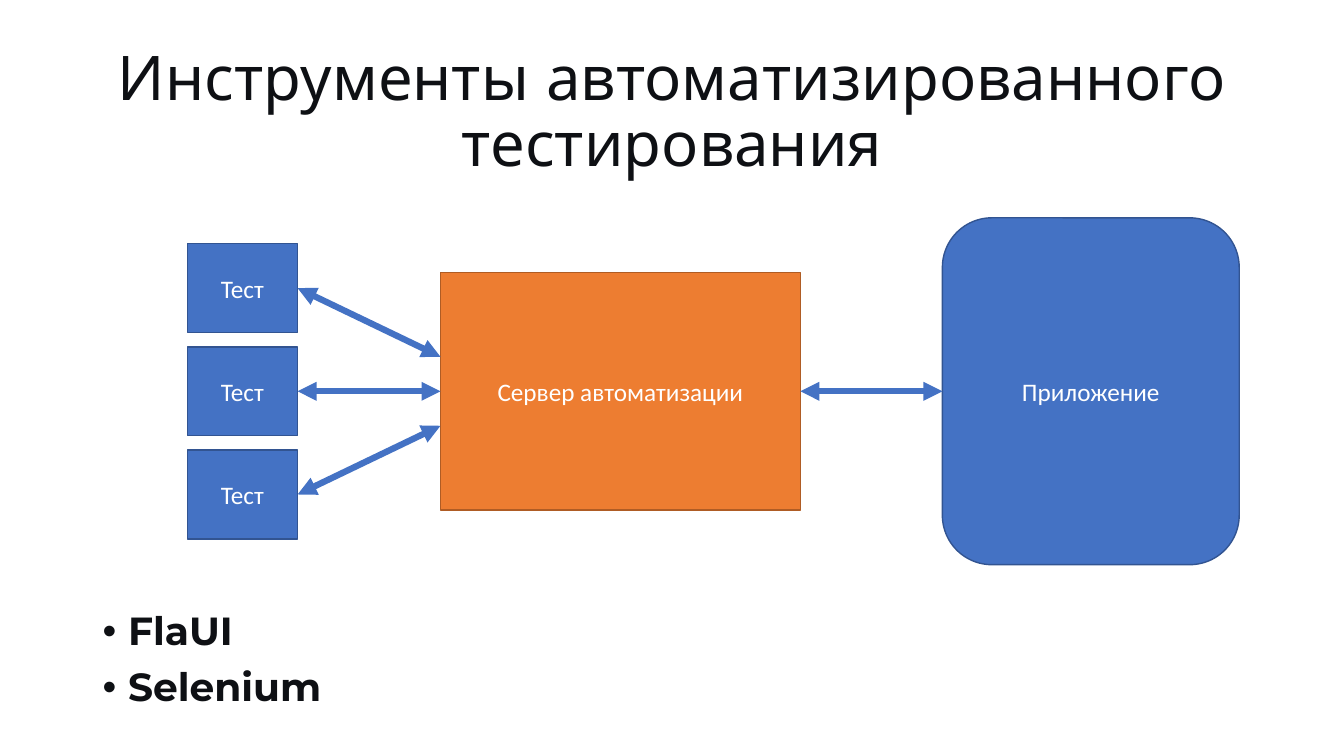
import dataclasses
import typing

import pptx
import pptx.dml.color
import pptx.enum.shapes
import pptx.enum.text
import pptx.oxml
import pptx.oxml.ns
import pptx.presentation
import pptx.slide
import pptx.text.text
import pptx.util

Cm = pptx.util.Cm
Kind = pptx.enum.shapes.MSO_SHAPE
Align = pptx.enum.text.PP_ALIGN
Anchor = pptx.enum.text.MSO_ANCHOR


@dataclasses.dataclass(frozen=True)
class Font:
    face: str
    size: float
    color: str
    bold: bool = False


@dataclasses.dataclass(frozen=True)
class Theme:
    blue: str = "4472C4"
    navy: str = "325491"
    orange: str = "ED7D31"
    brown: str = "AF5C24"
    edge: float = 1
    arrow: float = 4.5
    title: Font = Font("Quicksand", 44, "0E1014")
    tool: Font = Font("Montserrat", 28, "0E1014", True)
    label: Font = Font("Calibri", 18, "FFFFFF")


@dataclasses.dataclass(frozen=True)
class Box:
    """A block placed by its left side and its vertical middle, in cm."""
    text: str
    left: float
    mid: float
    width: float
    height: float
    fill: str
    edge: str
    kind: Kind = Kind.RECTANGLE

    @property
    def right(self) -> float:
        return self.left + self.width


class Arrow(typing.NamedTuple):
    x1: float
    y1: float
    x2: float
    y2: float


THEME = Theme()
AXIS = 9.86
STEP = 2.6
SPREAD = 0.87

TESTS = [Box("Тест", 4.72, AXIS + i * STEP, 2.78, 2.24, THEME.blue, THEME.navy)
         for i in (-1, 0, 1)]
SERVER = Box("Сервер автоматизации", 11.1, AXIS, 9.07, 5.98, THEME.orange, THEME.brown)
APP = Box("Приложение", 23.75, AXIS, 7.48, 8.74, THEME.blue, THEME.navy,
          Kind.ROUNDED_RECTANGLE)
ARROWS = [Arrow(test.right, test.mid, SERVER.left, AXIS + i * SPREAD)
          for i, test in zip((-1, 0, 1), TESTS)]
ARROWS.append(Arrow(SERVER.right, AXIS, APP.left, AXIS))


def rgb(color: str) -> pptx.dml.color.RGBColor:
    return pptx.dml.color.RGBColor.from_string(color)


def style(par: pptx.text.text._Paragraph, font: Font) -> None:
    for run in par.runs:
        run.font.name = font.face
        run.font.size = pptx.util.Pt(font.size)
        run.font.bold = font.bold
        run.font.color.rgb = rgb(font.color)


def add_text(slide: pptx.slide.Slide, text: str, font: Font, left: float, top: float,
             width: float, height: float) -> pptx.text.text.TextFrame:
    frame = slide.shapes.add_textbox(Cm(left), Cm(top), Cm(width), Cm(height)).text_frame
    frame.word_wrap = True
    frame.text = text
    for par in frame.paragraphs:
        par.line_spacing = 0.9
        style(par, font)
    return frame


def add_title(slide: pptx.slide.Slide) -> None:
    frame = add_text(slide, "Инструменты автоматизированного тестирования",
                     THEME.title, 2.34, 1.02, 29.21, 3.68)
    frame.vertical_anchor = Anchor.MIDDLE
    frame.paragraphs[0].alignment = Align.CENTER


def add_tools(slide: pptx.slide.Slide) -> None:
    frame = add_text(slide, "FlaUI\nSelenium", THEME.tool, 2.34, 15.29, 7.19, 3.23)
    space = pptx.oxml.ns.nsdecls("a")
    for par in frame.paragraphs:
        par.space_before = pptx.util.Pt(10)
        props = par._p.get_or_add_pPr()
        props.set("marL", str(Cm(0.64)))
        props.set("indent", str(-Cm(0.64)))
        props.append(pptx.oxml.parse_xml(f'<a:buFont {space} typeface="Arial"/>'))
        props.append(pptx.oxml.parse_xml(f'<a:buChar {space} char="•"/>'))


def add_box(slide: pptx.slide.Slide, box: Box) -> None:
    shape = slide.shapes.add_shape(box.kind, Cm(box.left), Cm(box.mid - box.height / 2),
                                   Cm(box.width), Cm(box.height))
    shape.shadow.inherit = False
    shape.fill.solid()
    shape.fill.fore_color.rgb = rgb(box.fill)
    shape.line.color.rgb = rgb(box.edge)
    shape.line.width = pptx.util.Pt(THEME.edge)
    frame = shape.text_frame
    frame.word_wrap = True
    frame.vertical_anchor = Anchor.MIDDLE
    frame.text = box.text
    frame.paragraphs[0].alignment = Align.CENTER
    style(frame.paragraphs[0], THEME.label)


def add_arrow(slide: pptx.slide.Slide, arrow: Arrow) -> None:
    """Draw a line with a triangle at both ends."""
    link = slide.shapes.add_connector(pptx.enum.shapes.MSO_CONNECTOR.STRAIGHT,
                                      *(Cm(value) for value in arrow))
    link.line.color.rgb = rgb(THEME.blue)
    link.line.width = pptx.util.Pt(THEME.arrow)
    space = pptx.oxml.ns.nsdecls("a")
    for end in ("headEnd", "tailEnd"):
        link.line._get_or_add_ln().append(
            pptx.oxml.parse_xml(f'<a:{end} {space} type="triangle"/>'))
    link._element.spPr.append(pptx.oxml.parse_xml(f"<a:effectLst {space}/>"))


def main() -> None:
    deck = pptx.Presentation()
    deck.slide_width, deck.slide_height = Cm(33.87), Cm(19.05)
    slide = deck.slides.add_slide(deck.slide_layouts[6])
    add_title(slide)
    add_tools(slide)
    for box in (*TESTS, SERVER, APP):
        add_box(slide, box)
    for arrow in ARROWS:
        add_arrow(slide, arrow)
    deck.save("out.pptx")


if __name__ == "__main__":
    main()
